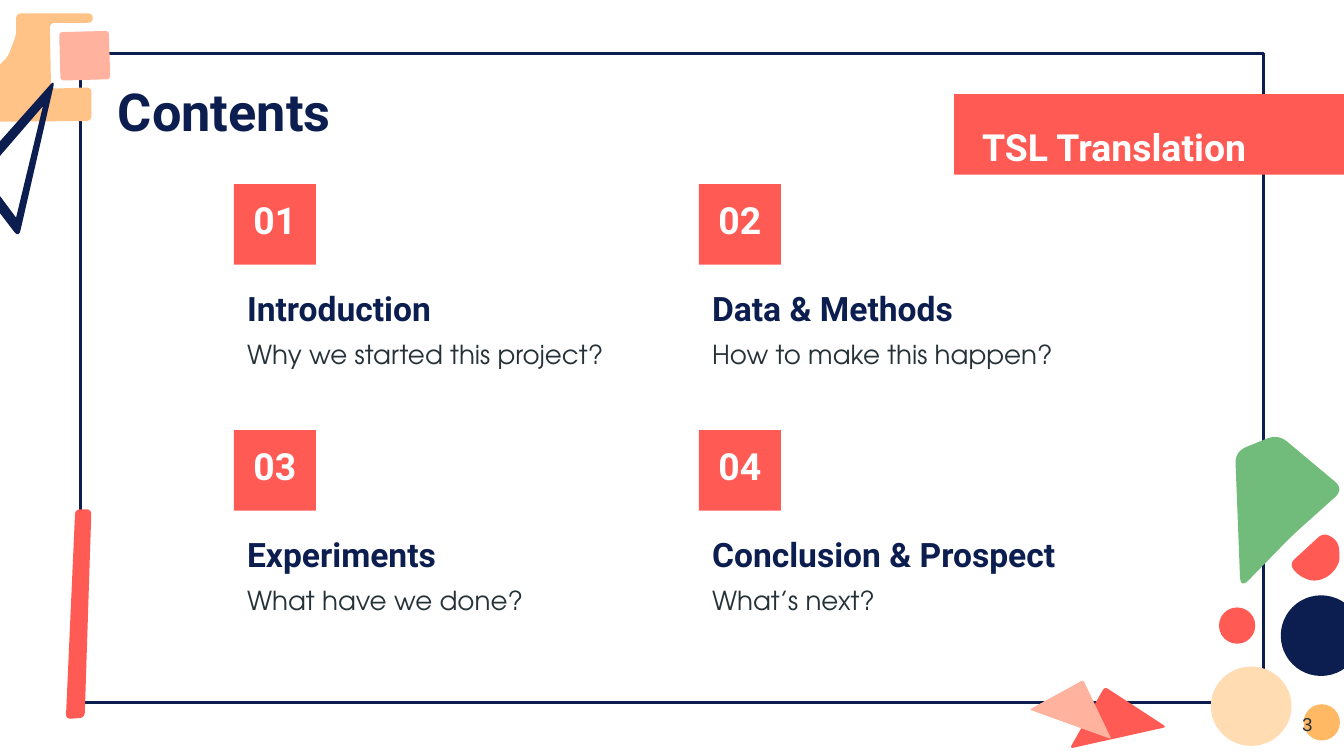
from math import dist
from pptx import Presentation
from pptx.dml.color import RGBColor
from pptx.enum.shapes import MSO_SHAPE as Shape
from pptx.enum.text import MSO_ANCHOR as Anchor, PP_ALIGN as Align
from pptx.util import Inches, Pt

COLORS = {
    "navy": "0C1E4F", "red": "FF5A54", "pink": "FFB39F", "peach": "FFC388",
    "cream": "FFDCB2", "amber": "FFB864", "green": "71BC7B",
    "ink": "263238", "white": "FFFFFF",
}
HEADING, BODY = "Roboto", "TeX Gyre Adventor"

# Grid of the four topics, in inches
LEFT, TOP = 1.74, 1.37
COL_STEP, ROW_STEP = 3.46, 1.83
TOPICS = [
    ("Introduction", "Why we started this project?"),
    ("Data & Methods", "How to make this happen?"),
    ("Experiments", "What have we done?"),
    ("Conclusion & Prospect", "What’s next?"),
]

# Cut-out decorations: colour, corner radius, corner points
CUTOUTS = [
    ("pink", 0.03, [(0.44, 0.24), (0.81, 0.23), (0.82, 0.59), (0.45, 0.6)]),
    ("peach", 0.04, [
        (0.12, 0.1), (0.69, 0.1), (0.69, 0.17), (0.37, 0.17), (0.38, 0.66),
        (0.68, 0.65), (0.68, 0.9), (-0.6, 0.91), (-0.6, 0.65), (-0.32, 0.65),
        (-0.09, 0.57), (0.06, 0.42), (0.12, 0.26)]),
    ("red", 0.03, [(8.22, 5.11), (8.68, 5.41), (7.96, 5.57)]),
    ("red", 0.04, [(0.56, 3.79), (0.68, 3.79), (0.63, 5.34), (0.49, 5.35)]),
    ("pink", 0.02, [(8.06, 5.06), (8.27, 5.5), (7.66, 5.28)]),
    ("green", 0.09, [(9.19, 3.36), (9.51, 3.23), (10, 3.64), (9.61, 3.99),
                     (9.23, 4.38)]),
    ("red", 0.06, [(9.59, 4.2), (9.85, 3.96), (9.96, 4.03), (9.97, 4.19),
                   (9.89, 4.29), (9.78, 4.33), (9.67, 4.29)]),
]
TRIANGLE = [(0.41, 0.59), (0.14, 1.77), (-0.22, 1.3)]
TRIANGLE_HOLE = [(0.32, 0.79), (0.12, 1.62), (-0.12, 1.3)]

# Discs: colour, left, top, width, height
DISCS = [
    ("navy", 9.53, 4.43, 0.6, 0.6),
    ("red", 9.07, 4.52, 0.27, 0.27),
    ("amber", 9.7, 5.24, 0.27, 0.27),
    ("cream", 9.01, 4.96, 0.6, 0.59),
]


def rgb(name):
    return RGBColor.from_string(COLORS[name])


def paint(sp, color):
    sp.shadow.inherit = False
    sp.fill.solid()
    sp.fill.fore_color.rgb = rgb(color)
    sp.line.fill.background()


def add_block(s, color, left, top, width, height, kind=Shape.RECTANGLE):
    sp = s.shapes.add_shape(kind, *map(Inches, (left, top, width, height)))
    paint(sp, color)


def rounded(corners, radius, steps=6):
    """Outline in EMU with each corner replaced by a quadratic curve."""
    points = []
    for i, corner in enumerate(corners):
        ends = []
        for near in (corners[i - 1], corners[(i + 1) % len(corners)]):
            share = min(0.5, radius / dist(corner, near))
            ends.append([c + share * (n - c) for c, n in zip(corner, near)])
        for k in range(steps + 1):
            t = k / steps
            points.append([Inches((1 - t) ** 2 * a + 2 * t * (1 - t) * c + t * t * b)
                           for a, c, b in zip(ends[0], corner, ends[1])])
    return points


def add_cutout(s, color, radius, corners, hole=None):
    outline = rounded(corners, radius)
    builder = s.shapes.build_freeform(*outline[0])
    builder.add_line_segments(outline[1:], close=True)
    if hole:
        inner = [tuple(map(Inches, point)) for point in hole]
        builder.move_to(*inner[0])
        builder.add_line_segments(inner[1:], close=True)
    paint(builder.convert_to_shape(), color)


def add_text(s, text, left, top, width, height, size, color="navy",
             font=HEADING, align=Align.LEFT, anchor=Anchor.TOP, spacing=None):
    tf = s.shapes.add_textbox(
        *map(Inches, (left, top, width, height))).text_frame
    tf.word_wrap = True
    tf.vertical_anchor = anchor
    tf.margin_left = tf.margin_right = Inches(0.1)
    tf.margin_top = tf.margin_bottom = Inches(0.1)
    tf.text = text
    p = tf.paragraphs[0]
    p.alignment = align
    p.line_spacing = spacing
    r = p.runs[0]
    r.font.name, r.font.size = font, Pt(size)
    r.font.bold = font == HEADING
    r.font.color.rgb = rgb(color)


def add_frame(s):
    sp = s.shapes.add_shape(Shape.SNIP_2_DIAG_RECTANGLE,
                            *map(Inches, (0.6, 0.4, 8.8, 4.83)))
    sp.adjustments[0] = sp.adjustments[1] = 0
    sp.shadow.inherit = False
    sp.fill.background()
    sp.line.color.rgb = rgb("navy")
    sp.line.width = Pt(1.5)


def add_topic(s, index, title, question):
    row, col = divmod(index, 2)
    x, y = LEFT + col * COL_STEP, TOP + row * ROW_STEP
    add_block(s, "red", x, y, 0.61, 0.6)
    add_text(s, f"{index + 1:02}", x, y + 0.08, 0.61, 0.45, 20, "white",
             align=Align.CENTER, anchor=Anchor.BOTTOM)
    add_text(s, title, x, y + 0.67, 3, 0.39, 18)
    add_text(s, question, x, y + 1.05, 3, 0.63, 14, "ink", BODY)


def main():
    prs = Presentation()
    prs.slide_width, prs.slide_height = Inches(10), Inches(5.625)
    s = prs.slides.add_slide(prs.slide_layouts[6])

    # Frame and decorations
    add_frame(s)
    for color, radius, corners in CUTOUTS:
        add_cutout(s, color, radius, corners)
    add_cutout(s, "navy", 0.06, TRIANGLE, TRIANGLE_HOLE)
    for disc in DISCS:
        add_block(s, *disc, kind=Shape.OVAL)

    # Title and topics
    add_text(s, "Contents", 0.78, 0.49, 8.44, 0.63, 28)
    for index, (title, question) in enumerate(TOPICS):
        add_topic(s, index, title, question)

    # Banner and page number
    add_block(s, "red", 7.1, 0.7, 3, 0.6)
    add_text(s, "TSL Translation", 7.1, 0.74, 2.38, 0.65, 20, "white",
             align=Align.CENTER, spacing=1.25)
    add_text(s, "3", 9.59, 5.22, 0.22, 0.3, 10, "ink", "Arial")

    prs.save("out.pptx")


if __name__ == "__main__":
    main()
